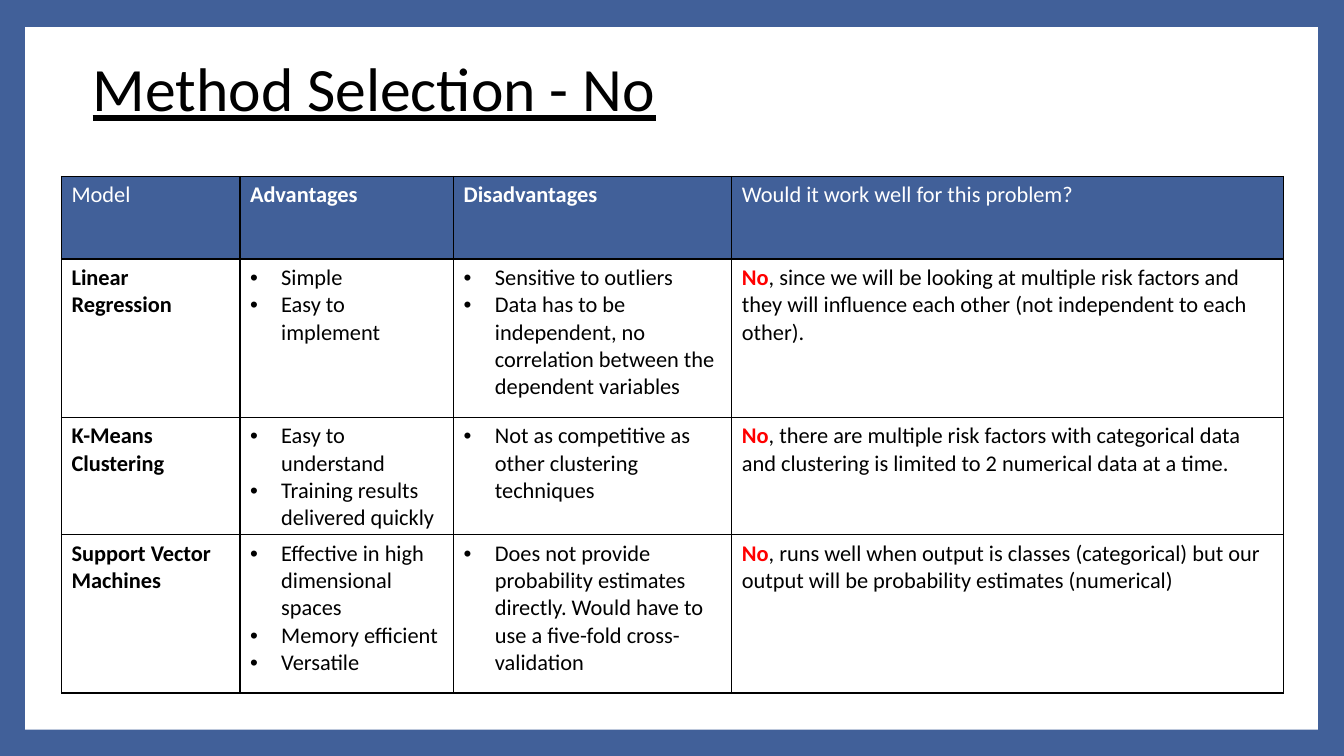
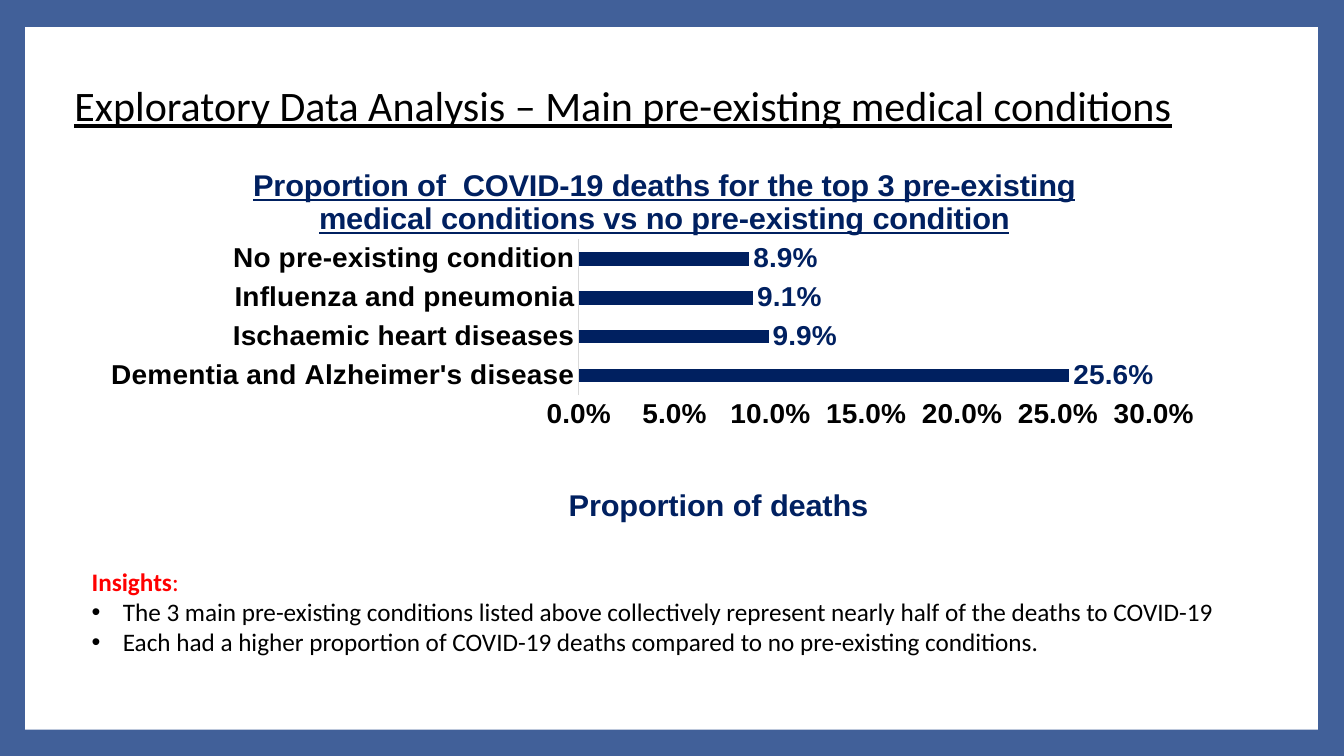
from dataclasses import dataclass

from lxml import etree
from pptx import Presentation
from pptx.chart.data import CategoryChartData
from pptx.dml.color import RGBColor
from pptx.enum import chart as ch, shapes, text
from pptx.oxml import ns
from pptx.util import Inches, Pt


@dataclass(frozen=True)
class Theme:
    blue: str = "416099"
    navy: str = "002060"
    red: str = "FF0000"
    black: str = "000000"
    white: str = "FFFFFF"
    grey: str = "D9D9D9"
    body_font: str = "Calibri"
    chart_font: str = "Arial"
    table_size: int = 16
    insight_size: int = 18
    axis_size: int = 20
    chart_title_size: int = 22


T = Theme()
FRAME = (0.25, 0.27, 12.82, 6.97)

METHODS_TITLE = "Method Selection - No"
HEADERS = [("Model", False), ("Advantages", True), ("Disadvantages", True),
           ("Would it work well for this problem?", False)]
METHODS = [
    ("Linear Regression",
     ["Simple", "Easy to implement"],
     ["Sensitive to outliers",
      "Data has to be independent, no correlation between the dependent variables"],
     ", since we will be looking at multiple risk factors and they will influence "
     "each other (not independent to each other)."),
    ("K-Means Clustering",
     ["Easy to understand", "Training results delivered quickly"],
     ["Not as competitive as other clustering techniques"],
     ", there are multiple risk factors with categorical data and clustering is "
     "limited to 2 numerical data at a time."),
    ("Support Vector Machines",
     ["Effective in high dimensional spaces", "Memory efficient", "Versatile"],
     ["Does not provide probability estimates directly. Would have to use a "
      "five-fold cross-validation"],
     ", runs well when output is classes (categorical) but our output will be "
     "probability estimates (numerical)"),
]
COL_WIDTHS = (1.77, 2.12, 2.76, 5.47)
ROW_HEIGHTS = (0.82, 1.57, 1.1, 1.57)

EDA_TITLE = "Exploratory Data Analysis – Main pre-existing medical conditions"
CHART_TITLE = ("Proportion of  COVID-19 deaths for the top 3 pre-existing medical "
               "conditions vs no pre-existing condition")
AXIS_TITLE = "Proportion of deaths"
DEATHS = {
    "Dementia and Alzheimer's disease": 0.256,
    "Ischaemic heart diseases": 0.099,
    "Influenza and pneumonia": 0.091,
    "No pre-existing condition": 0.089,
}
INSIGHTS = [
    "The 3 main pre-existing conditions listed above collectively represent nearly "
    "half of the deaths to COVID-19",
    "Each had a higher proportion of COVID-19 deaths compared to no pre-existing "
    "conditions.",
]


def rgb(color):
    return RGBColor.from_string(color)


def box(at):
    return [Inches(v) for v in at]


def sub(parent, tag, **attrs):
    return etree.SubElement(parent, ns.qn(tag), attrs)


def style(font, size, color, bold=False, name=T.body_font, underline=None):
    font.size, font.bold, font.name = Pt(size), bold, name
    font.color.rgb = rgb(color)
    font.underline = underline


def plain(words, color=T.black, bold=False):
    """One paragraph with one run."""
    return False, [(words, color, bold)]


def bullets(items):
    return [(True, [(item, T.black, False)]) for item in items]


def add_bullet(p):
    pPr = p._p.get_or_add_pPr()
    indent = Inches(0.31)
    pPr.set("marL", str(indent))
    pPr.set("indent", str(-indent))
    sub(sub(pPr, "a:buClr"), "a:srgbClr", val=T.black)
    sub(pPr, "a:buFont", typeface="Arial")
    sub(pPr, "a:buChar", char="•")


def write(tf, paragraphs, size):
    """Fill a text frame from (bulleted, [(words, color, bold)]) pairs."""
    tf.word_wrap = True
    for i, (bulleted, runs) in enumerate(paragraphs):
        p = tf.add_paragraph() if i else tf.paragraphs[0]
        p.alignment = text.PP_ALIGN.LEFT
        if bulleted:
            add_bullet(p)
        for words, color, bold in runs:
            r = p.add_run()
            r.text = words
            style(r.font, size, color, bold)


def add_panel(s, at):
    sp = s.shapes.add_shape(shapes.MSO_SHAPE.RECTANGLE, *box(at))
    sp.shadow.inherit = False
    sp.fill.solid()
    sp.fill.fore_color.rgb = rgb(T.white)
    sp.line.fill.background()
    return sp


def add_slide(prs, title, at, size):
    """Slide with blue border, white panel and underlined title."""
    s = prs.slides.add_slide(prs.slide_layouts[6])
    s.background.fill.solid()
    s.background.fill.fore_color.rgb = rgb(T.blue)
    add_panel(s, FRAME)
    tf = s.shapes.add_textbox(*box(at)).text_frame
    tf.vertical_anchor = text.MSO_ANCHOR.MIDDLE
    write(tf, [plain(title)], size)
    p = tf.paragraphs[0]
    p.line_spacing = 0.9
    p.runs[0].font.underline = True
    return s


def fill_cell(cell, paragraphs, fill):
    write(cell.text_frame, paragraphs, T.table_size)
    tcPr = cell._tc.get_or_add_tcPr()
    for side in ("a:lnL", "a:lnR", "a:lnT", "a:lnB"):
        line = sub(tcPr, side, w=str(Pt(1)))
        sub(sub(line, "a:solidFill"), "a:srgbClr", val=T.black)
    cell.fill.solid()
    cell.fill.fore_color.rgb = rgb(fill)


def add_methods_table(s):
    rows = [[[plain(words, T.white, bold)] for words, bold in HEADERS]]
    for model, pros, cons, verdict in METHODS:
        rows.append([[plain(model, bold=True)], bullets(pros), bullets(cons),
                     [(False, [("No", T.red, True), (verdict, T.black, False)])]])
    at = (0.61, 1.75, sum(COL_WIDTHS), sum(ROW_HEIGHTS))
    table = s.shapes.add_table(len(rows), len(HEADERS), *box(at)).table
    table.first_row = table.horz_banding = False
    for column, width in zip(table.columns, COL_WIDTHS):
        column.width = Inches(width)
    for row, height in zip(table.rows, ROW_HEIGHTS):
        row.height = Inches(height)
    for i, row in enumerate(rows):
        for j, paragraphs in enumerate(row):
            fill_cell(table.cell(i, j), paragraphs, T.white if i else T.blue)


def set_layout(element, **fractions):
    """Fix a chart part's place, as fractions of the chart area."""
    for old in element.findall(ns.qn("c:layout")):
        element.remove(old)
    layout = etree.Element(ns.qn("c:layout"))
    manual = sub(layout, "c:manualLayout")
    if "w" in fractions:
        sub(manual, "c:layoutTarget", val="inner")
    for mode in ("c:xMode", "c:yMode"):
        sub(manual, mode, val="edge")
    for key, value in fractions.items():
        sub(manual, f"c:{key}", val=str(value))
    element.insert(0 if element.find(ns.qn("c:tx")) is None else 1, layout)


def add_chart_title(title, words, x, y, underline=None):
    r = title.text_frame.paragraphs[0].add_run()
    r.text = words
    style(r.font, T.chart_title_size, T.navy, True, T.chart_font, underline)
    set_layout(title._element, x=x, y=y)


def add_deaths_chart(s):
    data = CategoryChartData(number_format="0.0%")
    data.categories = list(DEATHS)
    data.add_series("Series 1", list(DEATHS.values()))
    chart = s.shapes.add_chart(ch.XL_CHART_TYPE.BAR_CLUSTERED,
                               *box((0.89, 1.49, 11.18, 3.78)), data).chart
    style(chart.font, 10, T.black, name=T.chart_font)
    chart.has_legend = False
    add_chart_title(chart.chart_title, CHART_TITLE, 0.14, 0.03, True)

    cats, vals = chart.category_axis, chart.value_axis
    for axis in (cats, vals):
        axis.has_major_gridlines = False
        axis.major_tick_mark = axis.minor_tick_mark = ch.XL_TICK_MARK.NONE
        style(axis.tick_labels.font, T.axis_size, T.black, True, T.chart_font)
    cats.format.line.color.rgb = rgb(T.grey)
    cats.format.line.width = Pt(0.75)
    vals.format.line.fill.background()
    vals.minimum_scale, vals.maximum_scale, vals.major_unit = 0, 0.3, 0.05
    vals.tick_labels.number_format = "0.0%"
    vals.tick_labels.number_format_is_linked = False
    add_chart_title(vals.axis_title, AXIS_TITLE, 0.42, 0.89)

    plot = chart.plots[0]
    plot.gap_width, plot.vary_by_categories = 182, False
    fill = plot.series[0].format.fill
    fill.solid()
    fill.fore_color.rgb = rgb(T.navy)
    plot.has_data_labels = True
    labels = plot.data_labels
    labels.show_value = True
    labels.position = ch.XL_LABEL_POSITION.OUTSIDE_END
    labels.number_format, labels.number_format_is_linked = "0.0%", False
    style(labels.font, T.axis_size, T.navy, True, T.chart_font)
    plot_area = chart._chartSpace.find(".//" + ns.qn("c:plotArea"))
    set_layout(plot_area, x=0.434, y=0.24, w=0.51, h=0.42)


def add_insights(s):
    tf = add_panel(s, (0.81, 5.27, 12.02, 1.59)).text_frame
    tf.vertical_anchor = text.MSO_ANCHOR.MIDDLE
    heading = (False, [("Insights", T.red, True), (":", T.red, False)])
    write(tf, [heading, *bullets(INSIGHTS)], T.insight_size)


def main():
    prs = Presentation()
    prs.slide_width, prs.slide_height = Inches(13.33), Inches(7.5)
    add_methods_table(add_slide(prs, METHODS_TITLE, (0.82, 0.49, 6.27, 0.84), 44))
    s = add_slide(prs, EDA_TITLE, (0.64, 0.43, 12.19, 1.28), 30)
    add_deaths_chart(s)
    add_insights(s)
    prs.save("out.pptx")


if __name__ == "__main__":
    main()
